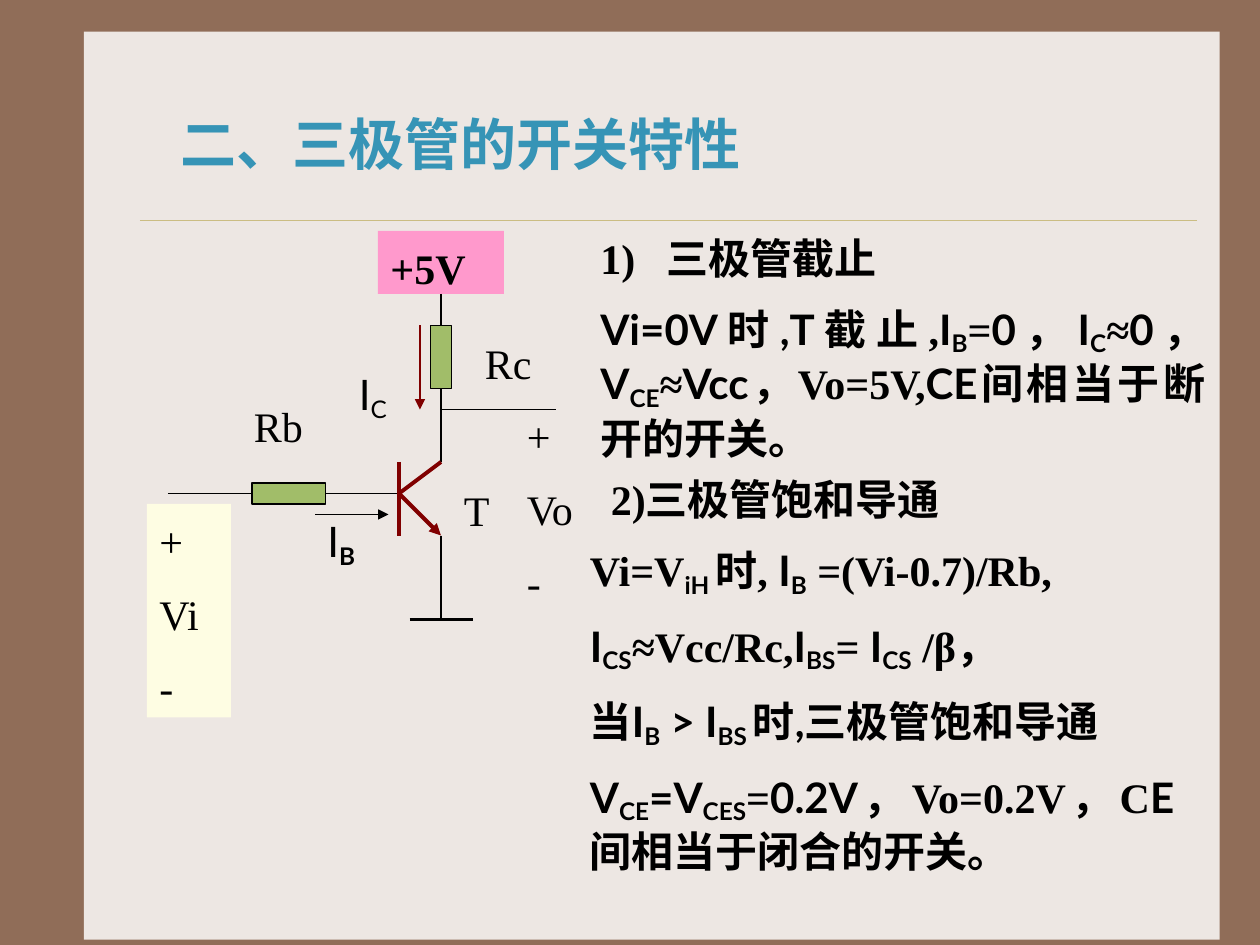
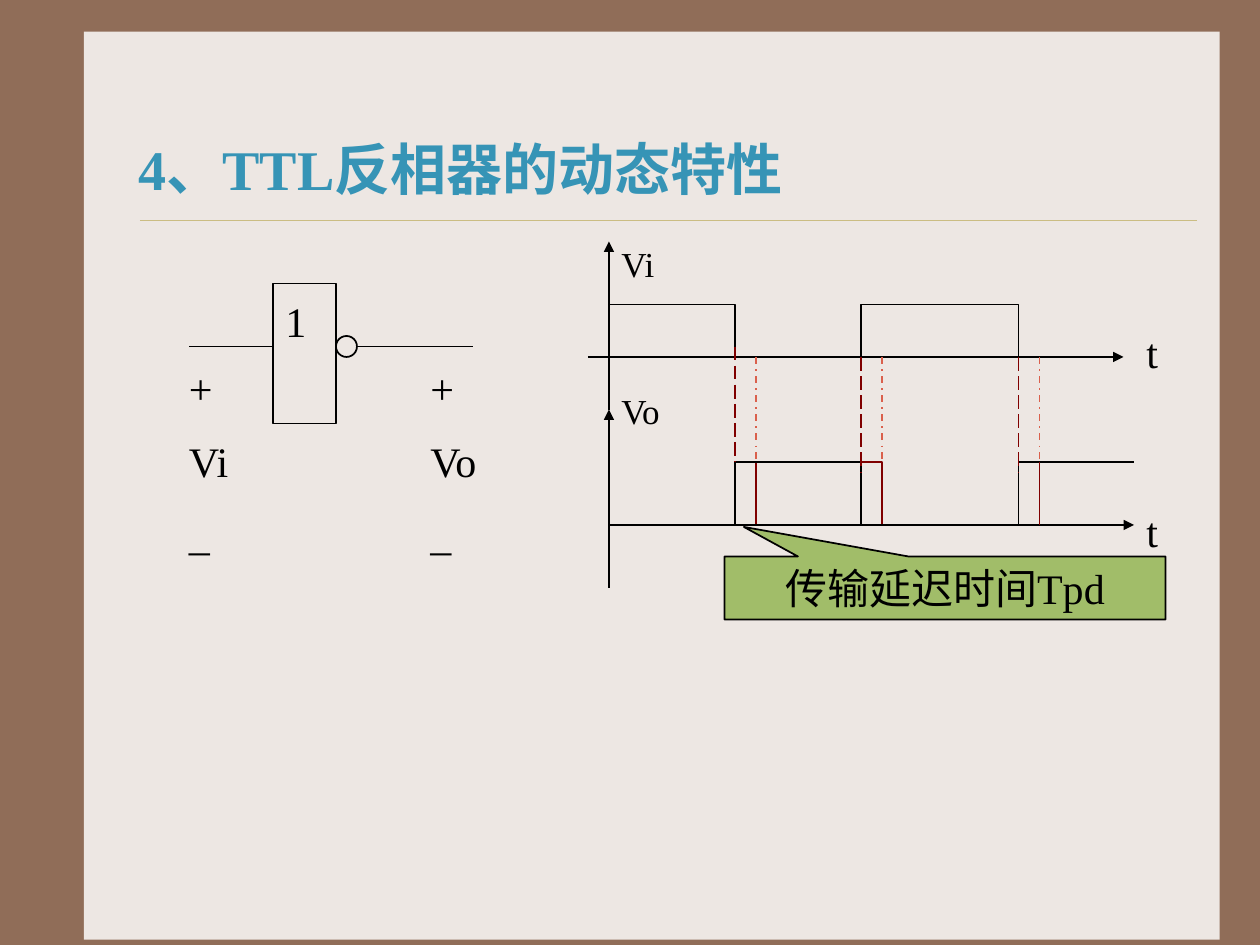
import pptx
import pptx.util
import pptx.dml.color
import pptx.enum.dml
import pptx.enum.shapes
import pptx.enum.text
import pptx.oxml
import pptx.oxml.ns
import lxml.etree

Pt = pptx.util.Pt
RGBColor = pptx.dml.color.RGBColor
Kind = pptx.enum.shapes.MSO_SHAPE
Align = pptx.enum.text.PP_ALIGN
Anchor = pptx.enum.text.MSO_ANCHOR
Dash = pptx.enum.dml.MSO_LINE

BROWN = RGBColor(0x90, 0x6D, 0x58)
PAPER = RGBColor(0xED, 0xE7, 0xE3)
GOLD = RGBColor(0xCB, 0xBD, 0x83)
BLUE = RGBColor(0x36, 0x94, 0xB6)
BLACK = RGBColor(0x00, 0x00, 0x00)
DARK_RED = RGBColor(0x80, 0x00, 0x00)
ORANGE = RGBColor(0xDA, 0x60, 0x4C)
GREEN = RGBColor(0xA1, 0xBD, 0x69)
PINK = RGBColor(0xFF, 0x99, 0xCC)
CREAM = RGBColor(0xFE, 0xFD, 0xE3)

SERIF = "Times New Roman"
SANS = "Lato"
MARKS = {
    "{": {"font": SANS},
    "}": {"font": SERIF},
    "[": {"baseline": -18000},
    "]": {"baseline": 0},
    "*": {"bold": True},
}


def add_runs(paragraph, text, size, color, bold):
    """Add runs to a paragraph: {} marks sans text, [] subscripts and * the start of bold."""
    state = {"font": SERIF, "baseline": 0, "bold": bold}
    for mark in MARKS:
        text = text.replace(mark, "\n" + mark)
    for chunk in text.split("\n"):
        state.update(MARKS.get(chunk[:1], {}))
        words = chunk.lstrip("".join(MARKS))
        if not words:
            continue
        run = paragraph.add_run()
        run.text = words
        run.font.name = state["font"]
        run.font.size = Pt(size)
        run.font.bold = state["bold"]
        run.font.color.rgb = color
        if state["baseline"]:
            run._r.get_or_add_rPr().set("baseline", str(state["baseline"]))


def write_text(shape, *texts, size=24, color=BLACK, bold=False, align=Align.LEFT,
               anchor=Anchor.TOP, gap=13, inset=7.2, top_inset=6.6):
    """Write one paragraph per text into a shape."""
    frame = shape.text_frame
    frame.word_wrap = True
    frame.vertical_anchor = anchor
    frame.margin_left = frame.margin_right = Pt(inset)
    frame.margin_top, frame.margin_bottom = Pt(top_inset), Pt(0)
    for index, text in enumerate(texts):
        paragraph = frame.add_paragraph() if index else frame.paragraphs[0]
        paragraph.alignment = align
        if index:
            paragraph.space_before = Pt(gap)
        add_runs(paragraph, text, size, color, bold)
    return frame


def add_text(slide, left, top, width, height, *texts, fill=None, **text_format):
    """Add a text box, with a fill if one is given."""
    box = slide.shapes.add_textbox(Pt(left), Pt(top), Pt(width), Pt(height))
    if fill is not None:
        box.fill.solid()
        box.fill.fore_color.rgb = fill
    write_text(box, *texts, **text_format)
    return box


def add_box(slide, left, top, width, height, fill=None, line=BLACK, kind=Kind.RECTANGLE):
    """Add a preset shape with an optional fill and outline."""
    shape = slide.shapes.add_shape(kind, Pt(left), Pt(top), Pt(width), Pt(height))
    shape.shadow.inherit = False
    if fill is None:
        shape.fill.background()
    else:
        shape.fill.solid()
        shape.fill.fore_color.rgb = fill
    if line is None:
        shape.line.fill.background()
    else:
        shape.line.color.rgb = line
        shape.line.width = Pt(1)
    return shape


def add_line(slide, x1, y1, x2, y2, color=BLACK, width=1, dash=None, arrow=False):
    """Add a straight connector, with an arrowhead at its end if asked."""
    line = slide.shapes.add_connector(
        pptx.enum.shapes.MSO_CONNECTOR.STRAIGHT, Pt(x1), Pt(y1), Pt(x2), Pt(y2))
    line.line.color.rgb = color
    line.line.width = Pt(width)
    if dash is not None:
        line.line.dash_style = dash
    properties = line._element.spPr
    if arrow:
        outline = properties.find(pptx.oxml.ns.qn("a:ln"))
        lxml.etree.SubElement(outline, pptx.oxml.ns.qn("a:tailEnd"), type="triangle")
    lxml.etree.SubElement(properties, pptx.oxml.ns.qn("a:effectLst"))
    return line


def add_page(presentation, title, left, top):
    """Add a slide with the brown border, paper panel, rule and title."""
    slide = presentation.slides.add_slide(presentation.slide_layouts[6])
    slide.background.fill.solid()
    slide.background.fill.fore_color.rgb = BROWN
    add_box(slide, 48, 18, 649, 521 - 18 + 18 - 2, fill=PAPER, line=None)
    add_line(slide, 80, 126, 684, 126, color=GOLD, width=0.25)
    add_text(slide, left, top, 600, 42, title, size=32, color=BLUE, bold=True,
             anchor=Anchor.MIDDLE, top_inset=0)
    return slide


def draw_transistor_circuit(slide, left, top):
    """Draw the transistor switch with its resistors, supply and labels."""
    def line(x1, y1, x2, y2, **style):
        return add_line(slide, left + x1, top + y1, left + x2, top + y2, **style)

    def label(x, y, width, height, *texts, **style):
        return add_text(slide, left + x, top + y, width, height, *texts, **style)

    supply = label(132, 0, 72, 36, "+5V", fill=PINK, bold=True)
    rail = line(168, 36, 168, 132)
    rail.begin_connect(supply, 2)
    line(12, 150, 144, 150)
    add_box(slide, left + 60, top + 144, 42, 12, fill=GREEN)
    add_box(slide, left + 162, top + 54, 12, 36, fill=GREEN)
    line(144, 132, 144, 174, color=DARK_RED, width=2.25)
    line(144, 150, 168, 132, color=DARK_RED, width=2.25)
    line(144, 150, 168, 174, color=DARK_RED, width=2.25, arrow=True)
    line(168, 174, 168, 222)
    line(150, 222, 186, 222, width=2.25)
    line(168, 102, 234, 102)
    line(96, 162, 138, 162, arrow=True)
    line(156, 54, 156, 102, color=DARK_RED, arrow=True)
    for x, y, name in ((186, 54, "Rc"), (54, 90, "Rb"), (174, 138, "T"),
                       (96, 156, "{I[*B]}"), (114, 72, "{I[C]}")):
        label(x, y, 52, 36, name)
    label(0, 156, 48, 122, "+", "Vi", "-", fill=CREAM)
    label(210, 96, 48, 122, "+", "Vo", "-")


def write_switch_states(slide, left, top):
    """Write the cut-off and saturation notes."""
    cutoff = add_text(
        slide, left + 6, top, 360, 137,
        "1)\t三极管截止",
        "{Vi=0V时,T}截止,{I[B]}={0}，{I[C]}≈{0}，{V[CE]}≈{Vcc}，Vo=5V,{CE}间相当于断开的开关。",
        bold=True, align=Align.JUSTIFY, gap=12)
    heading = cutoff.text_frame.paragraphs[0]
    tabs = lxml.etree.SubElement(heading._p.get_or_add_pPr(), pptx.oxml.ns.qn("a:tabLst"))
    lxml.etree.SubElement(tabs, pptx.oxml.ns.qn("a:tab"), pos=str(Pt(38)), algn="l")
    heading.alignment = Align.LEFT

    saturation = add_text(
        slide, left, top + 138, 348, 238,
        "2)三极管饱和导通",
        "Vi=V{[iH ]}时, {I[B]} =(Vi-0.7)/Rb,",
        "{I[CS]}≈Vcc/Rc,{I[BS]}= {I[CS]} /β，",
        "{当I[B] > I[BS ]时,}三极管饱和导通",
        "{V[CE]=V[CES]}={0.2V}，Vo=0.2V，C{E}间相当于闭合的开关。",
        bold=True, align=Align.JUSTIFY, gap=12)
    first = saturation.text_frame.paragraphs[0]
    first._p.get_or_add_pPr().set("marL", str(Pt(12)))


def draw_inverter(slide, left, top):
    """Draw the inverter symbol with its input and output labels."""
    gate = add_box(slide, left + 48, top, 36, 80)
    write_text(gate, "1")
    add_box(slide, left + 84, top + 30, 12, 12, kind=Kind.OVAL)
    for start, end in ((0, 48), (96, 162)):
        add_line(slide, left + start, top + 36, left + end, top + 36)
    for x, name in ((0, "Vi"), (138, "Vo")):
        add_text(slide, left + x, top + 42, 42, 115, "+", name, "_", inset=0, top_inset=3)


def draw_timing_diagram(slide, left, top):
    """Draw the input and output waveforms and the delay between them."""
    delay = 12
    input_axis, output_high, output_axis = 72, 132, 168

    def line(x1, y1, x2, y2, **style):
        add_line(slide, left + x1, top + y1, left + x2, top + y2, **style)

    def pulse(x, y, width, height, color=BLACK):
        add_box(slide, left + x, top + y, width, height, line=color)

    pulse(84 + delay, output_high, 72, 36, color=DARK_RED)
    line(0, input_axis, 306, input_axis, arrow=True)
    line(12, output_axis, 312, output_axis, arrow=True)
    line(12, 102, 12, 6, arrow=True)
    line(12, 204, 12, 102, arrow=True)
    pulse(12, 42, 72, 30)
    pulse(156, 42, 90, 30)
    pulse(84, output_high, 72, 36)
    line(246, output_high, 246, output_axis)
    line(246, output_high, 312, output_high)
    line(246 + delay, output_axis, 246 + delay, output_high, color=DARK_RED)
    for edge, start in ((84, 66), (156, 72), (246, 72)):
        line(edge, start, edge, start + 66, color=DARK_RED, dash=Dash.LONG_DASH)
        line(edge + delay, input_axis, edge + delay, output_high,
             color=ORANGE, dash=Dash.DASH_DOT)
    for x, y, name, size in ((12, 0, "Vi", 20), (12, 84, "Vo", 20),
                             (312, 48, "t", 24), (312, 150, "t", 24)):
        add_text(slide, left + x, top + y, 60 if size == 20 else 30, 36, name, size=size)
    callout = add_box(slide, left + 78, top + 186, 252, 36, fill=GREEN,
                      kind=Kind.RECTANGULAR_CALLOUT)
    callout.adjustments[0], callout.adjustments[1] = -0.456, -0.969
    write_text(callout, "传输延迟时间Tpd", align=Align.CENTER, top_inset=3.6)


def main():
    """Build both slides and save the presentation."""
    presentation = pptx.Presentation()
    presentation.slide_width, presentation.slide_height = Pt(720), Pt(540)

    slide = add_page(presentation, "{二}、三极管的开关特性", 96, 61)
    draw_transistor_circuit(slide, 84, 132)
    write_switch_states(slide, 330, 126)

    slide = add_page(presentation, "4、TTL反相器的动态特性", 72, 75)
    draw_inverter(slide, 108, 162)
    draw_timing_diagram(slide, 336, 132)

    presentation.save("out.pptx")


if __name__ == "__main__":
    main()
